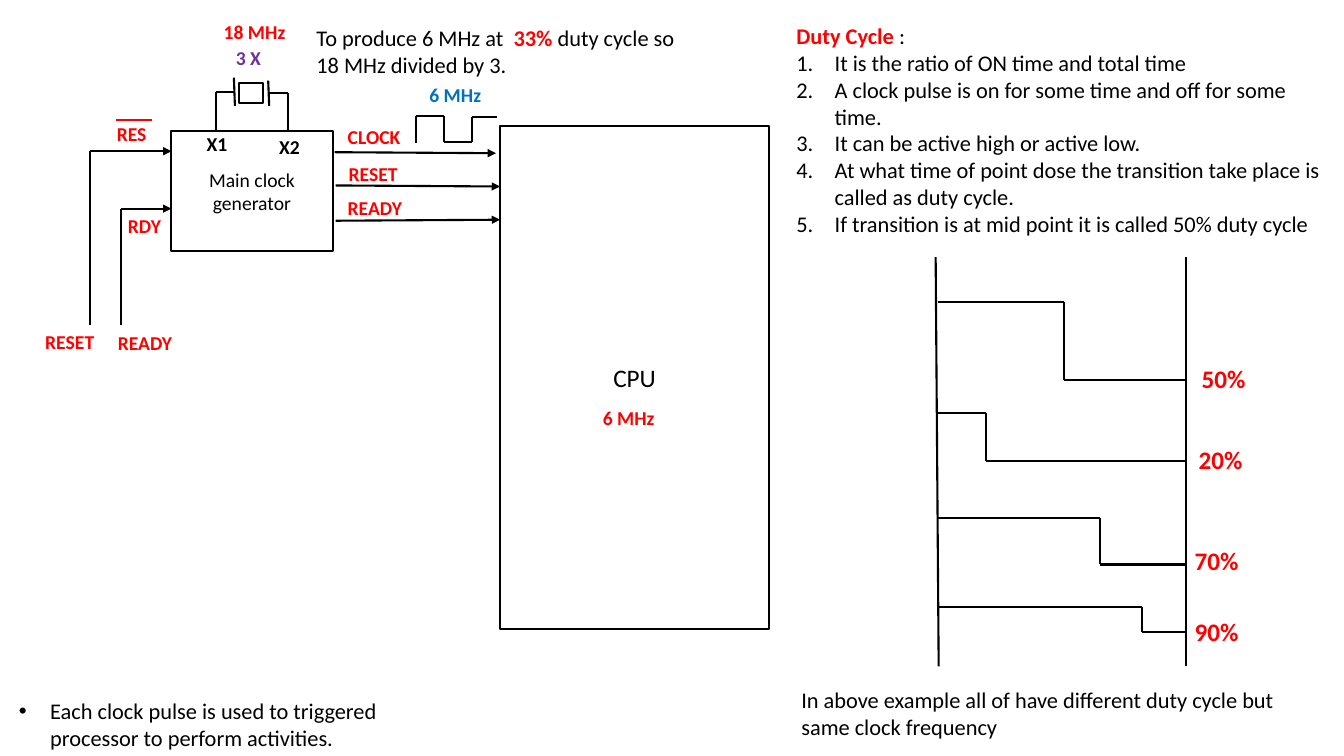
from dataclasses import dataclass
from itertools import pairwise

from lxml import etree
from pptx import Presentation
from pptx import util as u
from pptx.dml.color import RGBColor
from pptx.enum import shapes, text
from pptx.oxml import ns


@dataclass(frozen=True)
class Theme:
    font: str = "Calibri"
    black: str = "000000"
    white: str = "FFFFFF"
    red: str = "FF0000"
    blue: str = "0070C0"
    purple: str = "7030A0"
    label: int = 14
    body: int = 16
    large: int = 18
    line: float = 1.5


THEME = Theme()


class Diagram:
    """Draws styled elements on the current page."""

    def __init__(self, page, theme):
        self.page = page
        self.theme = theme

    def style(self, span, size, color, bold=False):
        span.font.name = self.theme.font
        span.font.size = u.Pt(size)
        span.font.bold = bold
        span.font.color.rgb = RGBColor.from_string(color)

    def block(self, left, top, width, height, caption="", size=THEME.label):
        box = self.page.shapes.add_shape(
            shapes.MSO_SHAPE.RECTANGLE,
            *map(u.Inches, (left, top, width, height)))
        box.shadow.inherit = False
        box.fill.solid()
        box.fill.fore_color.rgb = RGBColor.from_string(self.theme.white)
        box.line.color.rgb = RGBColor.from_string(self.theme.black)
        box.line.width = u.Pt(self.theme.line)
        if caption:
            frame = box.text_frame
            frame.text = caption
            frame.word_wrap = True
            frame.vertical_anchor = text.MSO_ANCHOR.MIDDLE
            para = frame.paragraphs[0]
            para.alignment = text.PP_ALIGN.CENTER
            self.style(para.runs[0], size, self.theme.black)

    def line(self, start, end, color=THEME.black, arrow=False):
        link = self.page.shapes.add_connector(
            shapes.MSO_CONNECTOR.STRAIGHT, *map(u.Inches, (*start, *end)))
        link.line.color.rgb = RGBColor.from_string(color)
        link.line.width = u.Pt(self.theme.line)
        if arrow:
            etree.SubElement(link.line._get_or_add_ln(),
                             ns.qn("a:tailEnd"), type="triangle")
        etree.SubElement(link._element.spPr, ns.qn("a:effectLst"))

    def trace(self, *points):
        for start, end in pairwise(points):
            self.line(start, end)

    def words(self, left, top, width, height, paragraphs, wrap=True):
        """Each paragraph is a list of (words, size, color, bold) spans."""
        box = self.page.shapes.add_textbox(
            *map(u.Inches, (left, top, width, height)))
        frame = box.text_frame
        frame.word_wrap = wrap
        frame.auto_size = text.MSO_AUTO_SIZE.SHAPE_TO_FIT_TEXT
        for index, spans in enumerate(paragraphs):
            para = frame.add_paragraph() if index else frame.paragraphs[0]
            for words, *look in spans:
                span = para.add_run()
                span.text = words
                self.style(span, *look)
        return frame

    def label(self, left, top, words, color=THEME.red, size=THEME.label,
              width=0.82, height=0.33, wrap=True):
        self.words(left, top, width, height,
                   [[(words, size, color, True)]], wrap)

    def bullet(self, para, indent, tag, **settings):
        properties = para._p.get_or_add_pPr()
        properties.set("marL", str(u.Inches(indent)))
        properties.set("indent", str(-u.Inches(indent)))
        etree.SubElement(properties, ns.qn("a:buFont"), typeface="Arial"
                         if tag == "a:buChar" else "+mj-lt")
        etree.SubElement(properties, ns.qn(tag), **settings)


def plain(words):
    return (words, THEME.body, THEME.black)


def draw_clock_circuit(diagram):
    # Processor and clock generator
    diagram.block(4.96, 1.25, 2.67, 4.99, "CPU", THEME.large)
    diagram.block(1.7, 1.3, 1.6, 1.19, "Main clock generator")

    # Crystal with its plates and leads
    diagram.block(2.37, 0.82, 0.24, 0.2)
    diagram.line((2.32, 0.77), (2.33, 1.05))
    diagram.line((2.66, 0.8), (2.67, 1.05))
    diagram.trace((2.32, 0.91), (2.14, 0.91), (2.14, 1.3))
    diagram.trace((2.67, 0.92), (2.86, 0.92), (2.86, 1.3))

    # Generator inputs
    for left, top in ((0.89, 1.5), (1.2, 2.07)):
        diagram.line((left, top), (left, 3.22))
        diagram.line((left, top), (1.7, top), arrow=True)
    diagram.line((1.15, 1.19), (1.51, 1.19), THEME.red)

    # Generator outputs
    for start, end in (((3.32, 1.51), (4.92, 1.52)),
                       ((3.33, 1.84), (4.96, 1.85)),
                       ((3.33, 2.19), (4.96, 2.18))):
        diagram.line(start, end, arrow=True)

    # Clock pulse
    diagram.trace((4.13, 1.42), (4.13, 1.15), (4.4, 1.15), (4.4, 1.41),
                  (4.68, 1.41), (4.68, 1.16), (4.93, 1.16))

    # Signal names and frequencies
    for left, top, name in (
            (1.06, 1.16, "RES"), (1.17, 2.07, "RDY"),
            (0.35, 3.22, "RESET"), (1.07, 3.23, "READY"),
            (3.35, 1.19, "CLOCK"), (3.36, 1.56, "RESET"),
            (3.35, 1.89, "READY"),
            (5.88, 3.98, "6 MHz"), (2.12, 0.15, "18 MHz")):
        diagram.label(left, top, name)
    diagram.label(1.95, 1.26, "X1", THEME.black)
    diagram.label(2.67, 1.29, "X2", THEME.black)
    diagram.label(2.24, 0.41, "3 X", THEME.purple)
    diagram.label(4.16, 0.77, "6 MHz", THEME.blue)


def draw_duty_cycles(diagram):
    # Period limits
    left, right = 9.3, 11.76
    diagram.line((9.28, 2.55), (9.31, 6.61))
    diagram.line((right, 2.55), (right, 6.61))

    # One waveform per duty cycle: high level, falling edge, low level
    for high, edge, low, share, label_left, label_top in (
            (3, 10.55, 3.77, "50%", 11.82, 3.56),
            (4.1, 9.78, 4.57, "20%", 11.79, 4.36),
            (5.14, 10.91, 5.6, "70%", 11.75, 5.36),
            (6.02, 11.33, 6.27, "90%", 11.75, 6.07)):
        diagram.trace((left, high), (edge, high), (edge, low), (right, low))
        diagram.label(label_left, label_top, share, size=THEME.large,
                      width=0.79, height=0.4, wrap=False)


def write_notes(diagram):
    # Frequency remark
    diagram.words(3.04, 0.19, 4.16, 0.64, [
        [plain("To produce 6 MHz at  "),
         ("33%", THEME.body, THEME.red, True),
         plain(" duty cycle so")],
        [plain("18 MHz divided by 3.")]])

    # Duty cycle definition
    facts = (
        "It is the ratio of ON time and total time",
        "A clock pulse is on for some time and off for some time.",
        "It can be active high or active low.",
        "At what time of point dose the transition take place is "
        "called as duty cycle.",
        "If transition is at mid point it is called 50% duty cycle")
    heading = [("Duty Cycle ", THEME.body, THEME.red, True), plain(":")]
    frame = diagram.words(7.8, 0.17, 5.45, 2.76,
                          [heading] + [[plain(fact)] for fact in facts])
    for para in frame.paragraphs[1:]:
        diagram.bullet(para, 0.38, "a:buAutoNum", type="arabicPeriod")

    # Closing remarks
    frame = diagram.words(0.09, 6.87, 4.16, 0.64, [[plain(
        "Each clock pulse is used to triggered processor to perform "
        "activities.")]])
    diagram.bullet(frame.paragraphs[0], 0.31, "a:buChar", char="•")
    diagram.words(7.85, 6.76, 5.33, 0.63, [[plain(
        "In above example all of have different duty cycle but same clock "
        "frequency")]])


def main():
    deck = Presentation()
    deck.slide_width = u.Inches(13.33)
    deck.slide_height = u.Inches(7.5)
    page = deck.slides.add_slide(deck.slide_layouts[6])
    diagram = Diagram(page, THEME)
    draw_clock_circuit(diagram)
    draw_duty_cycles(diagram)
    write_notes(diagram)
    deck.save("out.pptx")


if __name__ == "__main__":
    main()
